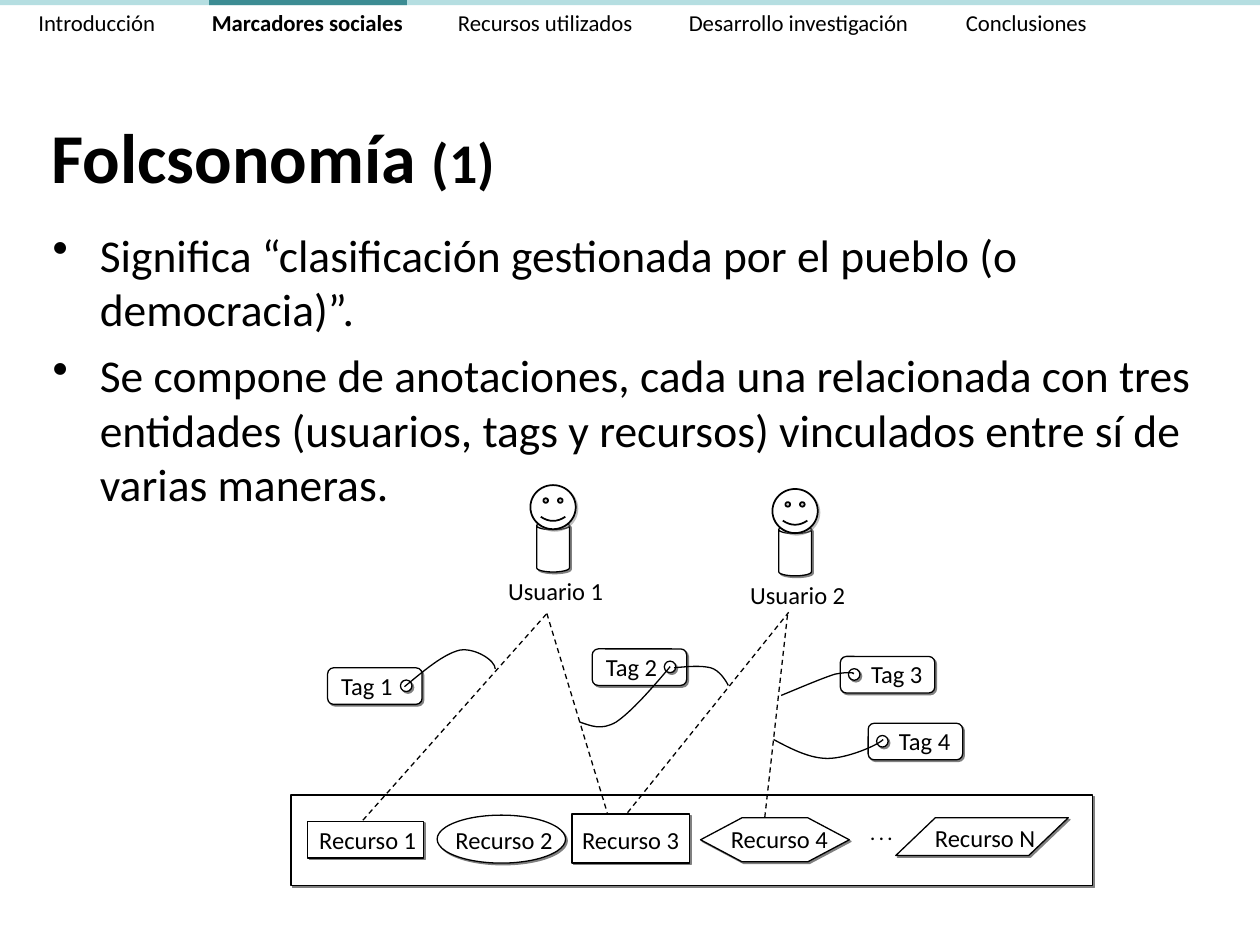
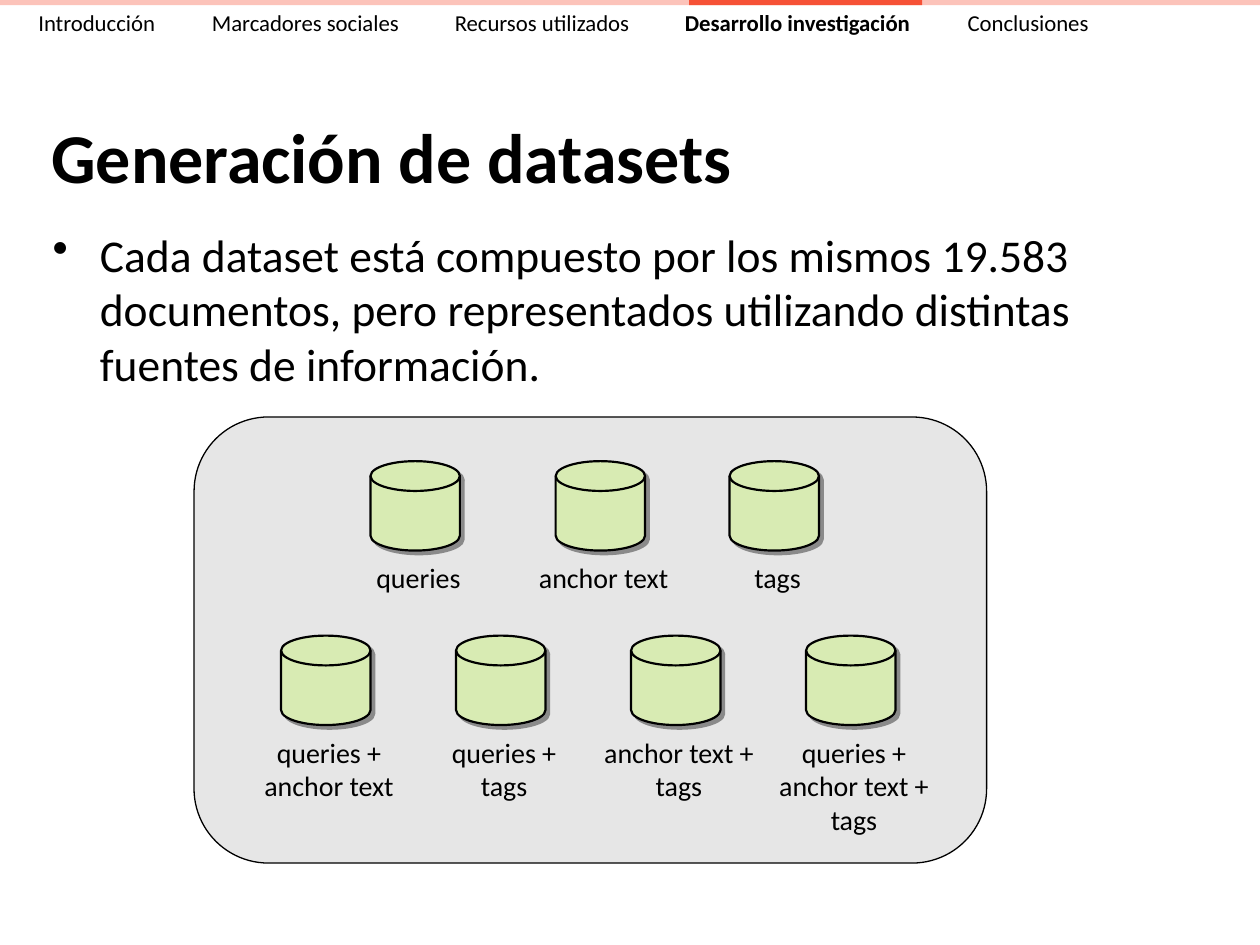
"""Build two slides on folksonomies and dataset generation."""
from dataclasses import dataclass

from lxml import etree
from pptx import Presentation
from pptx import util as u
from pptx.dml import color
from pptx.enum import dml, shapes, text
from pptx.oxml import ns

Pt = u.Pt
qn = ns.qn
Kind = shapes.MSO_SHAPE
CENTER = text.PP_ALIGN.CENTER


@dataclass(frozen=True)
class Theme:
    font: str = "Calibri"
    ink: str = "000000"
    paper: str = "FFFFFF"
    panel: str = "E6E6E6"
    disk: str = "D8EBB3"
    teal_band: str = "B5DEE1"
    teal_mark: str = "3C8C93"
    coral_band: str = "FCC3BA"
    coral_mark: str = "F65136"
    title: int = 40
    title_part: int = 32
    body: int = 26
    dataset: int = 16
    label: int = 14
    menu: int = 13
    dots: int = 10
    hairline: float = 0.75
    face_line: float = 1
    disk_line: float = 1.25
    diagram_shadow: tuple = ("808080", 100, 1.4)
    face_shadow: tuple = ("7F7F7F", 50, 1.4)
    disk_shadow: tuple = ("000000", 40, 3)


theme = Theme()
INK = color.RGBColor.from_string(theme.ink)


def add_text(slide, box, paragraphs, alignment=None, anchor=text.MSO_ANCHOR.TOP):
    """Add a text box; each paragraph is a list of (words, size, bold) runs."""
    frame = slide.shapes.add_textbox(*map(Pt, box)).text_frame
    frame.word_wrap = True
    frame.vertical_anchor = anchor
    for number, runs in enumerate(paragraphs):
        paragraph = frame.add_paragraph() if number else frame.paragraphs[0]
        paragraph.alignment = alignment
        for words, size, bold in runs:
            for row, line in enumerate(words.split("\n")):
                if row:
                    paragraph.add_line_break()
                run = paragraph.add_run()
                run.text = line
                run.font.name = theme.font
                run.font.size = Pt(size)
                run.font.bold = bold
                run.font.color.rgb = INK
    return frame


def add_figure(slide, kind, box, fill=theme.paper, line=theme.hairline, shadow=theme.diagram_shadow):
    """Add a preset shape with an optional outline and hard shadow."""
    shape = slide.shapes.add_shape(kind, *map(Pt, box))
    shape.fill.solid()
    shape.fill.fore_color.rgb = color.RGBColor.from_string(fill)
    if line:
        shape.line.color.rgb = INK
        shape.line.width = Pt(line)
    else:
        shape.line.fill.background()
    shape.shadow.inherit = False
    if shadow:
        tint, opacity, distance = shadow
        effects = shape._element.spPr.find(qn("a:effectLst"))
        outer = etree.SubElement(effects, qn("a:outerShdw"), blurRad="0", dist=str(Pt(distance)),
                                 dir="2700000", algn="ctr", rotWithShape="0")
        tone = etree.SubElement(outer, qn("a:srgbClr"), val=tint)
        etree.SubElement(tone, qn("a:alpha"), val=str(opacity * 1000))
    return shape


presentation = Presentation()
presentation.slide_width = Pt(720)
presentation.slide_height = Pt(540)

sections = ["Introducción", "Marcadores sociales", "Recursos utilizados",
            "Desarrollo investigación", "Conclusiones"]
pages = [
    dict(title=[("Folcsonomía ", theme.title, True), ("(1)", theme.title_part, True)],
         bullets=["Significa “clasificación gestionada por el pueblo (o democracia)”.",
                  "Se compone de anotaciones, cada una relacionada con tres entidades "
                  "(usuarios, tags y recursos) vinculados entre sí de varias maneras."],
         current=1, band=theme.teal_band, mark=theme.teal_mark, mark_span=(119.5, 113),
         tabs=[99.2, 239.8, 371.7, 530]),
    dict(title=[("Generación de datasets", theme.title, True)],
         bullets=["Cada dataset está compuesto por los mismos 19.583 documentos, pero "
                  "representados utilizando distintas fuentes de información."],
         current=3, band=theme.coral_band, mark=theme.coral_mark, mark_span=(393.8, 133.2),
         tabs=[99.2, 238, 369.5, 531]),
]

slides = []
for page in pages:
    slide = presentation.slides.add_slide(presentation.slide_layouts[6])
    slides.append(slide)
    add_text(slide, (22.3, 62, 692, 53.3), [page["title"]], anchor=text.MSO_ANCHOR.MIDDLE)
    body = add_text(slide, (23, 126, 674.6, 408.2),
                    [[(words, theme.body, False)] for words in page["bullets"]])
    for number, paragraph in enumerate(body.paragraphs):
        properties = paragraph._p.get_or_add_pPr()
        properties.set("marL", str(Pt(27)))
        properties.set("indent", str(-Pt(27)))
        etree.SubElement(properties, qn("a:buChar"), char="•")
        if number:
            paragraph.space_before = Pt(6.5)

    left, width = page["mark_span"]
    add_figure(slide, Kind.RECTANGLE, (0, 0, 720, 3), page["band"], 0, None)
    menu_runs = [(("\t" if number else "") + name, theme.menu, number == page["current"])
                 for number, name in enumerate(sections)]
    menu = add_text(slide, (14.8, 1.4, 696, 23), [menu_runs])
    tab_list = etree.SubElement(menu.paragraphs[0]._p.get_or_add_pPr(), qn("a:tabLst"))
    for position in page["tabs"]:
        etree.SubElement(tab_list, qn("a:tab"), pos=str(Pt(position)), algn="l")
    add_figure(slide, Kind.RECTANGLE, (left, 0, width, 3), page["mark"], 0, None)

folksonomy, datasets = slides

add_figure(folksonomy, Kind.RECTANGLE, (166.3, 454.3, 458, 51.8))
resources = [
    ("Recurso N", Kind.PARALLELOGRAM, (511.9, 467.3, 98.6, 21.6), 1.046, (523.4, 466.6, 79.2)),
    ("Recurso 1", Kind.RECTANGLE, (175.7, 469.4, 66.2, 20.9), None, (174.2, 468, 72)),
    ("Recurso 3", Kind.RECTANGLE, (326.9, 465.1, 67, 28.1), None, (324, 468, 72.7)),
    ("Recurso 4", Kind.HEXAGON, (400.3, 467.3, 85, 25.2), 0.941, (405.4, 467.3, 79.9)),
    ("Recurso 2", Kind.OVAL, (249.8, 465.8, 73.4, 27.4), None, (249.1, 468, 77.8)),
]
for name, kind, box, adjustment, label_box in resources:
    resource = add_figure(folksonomy, kind, box)
    if adjustment:
        resource.adjustments[0] = adjustment
    add_text(folksonomy, (*label_box, 25.2), [[(name, theme.label, False)]], CENTER)
add_text(folksonomy, (490.3, 466.6, 29.5, 28.8), [[(". . .", theme.dots, True)]])

annotations = [(207.4, 468.7, 312.5, 350.6), (312.5, 350.6, 347, 464.4),
               (358.6, 464.4, 450.7, 349.9), (450, 351.4, 437, 467.3)]
for ends in annotations:
    connector = folksonomy.shapes.add_connector(shapes.MSO_CONNECTOR.STRAIGHT, *map(Pt, ends))
    connector.line.color.rgb = INK
    connector.line.width = Pt(theme.hairline)
    connector.line.dash_style = dml.MSO_LINE.DASH
    etree.SubElement(connector._element.spPr, qn("a:effectLst"))

tags = [("Tag 1", 187.2, 381.6, 41.6, 0.7), ("Tag 2", 338.4, 370.8, 41.2, 0.7),
        ("Tag 4", 496.1, 413.3, 4.8, 10.5), ("Tag 3", 480.2, 375.1, 4.6, 10.5)]
for name, left, top, hole_shift, label_shift in tags:
    add_figure(folksonomy, Kind.ROUNDED_RECTANGLE, (left, top, 54, 20.9))
    add_figure(folksonomy, Kind.OVAL, (left + hole_shift, top + 7, 6.6, 6.6))
    add_text(folksonomy, (left + label_shift, top - 1.8, 46.1, 23),
             [[(name, theme.label, False)]])

strings = [
    [(231.1, 392.4), (242.6, 383), (253.4, 373.7), (262.8, 371.5),
     (271.4, 370.1), (283, 377.3), (283, 382.3)],
    [(383, 380.9), (372.2, 393.8), (360.7, 406.8), (352.1, 412.6),
     (343.4, 417.6), (337.7, 414.7), (331.2, 412.6)],
    [(385.2, 381.6), (393.1, 380.9), (400.3, 380.2), (406.1, 381.6),
     (411.1, 383), (414.7, 388.8), (416.2, 391.7)],
    [(446.4, 397.4), (458.6, 392.4), (470.2, 387.4), (477.4, 385.2),
     (484.6, 383.8), (489.6, 384.5), (487.4, 385.2)],
    [(442.1, 422.6), (452.9, 428.4), (463, 433.4), (473, 433.4),
     (483.8, 433.4), (501.1, 426.2), (504.7, 422.6)],
]
for points in strings:
    start, *controls = [(Pt(x), Pt(y)) for x, y in points]
    builder = folksonomy.shapes.build_freeform(*start)
    builder.add_line_segments(controls, close=False)
    string = builder.convert_to_shape()
    string.fill.background()
    string.line.color.rgb = INK
    string.line.width = Pt(theme.hairline)
    string.shadow.inherit = False
    outline = next(string._element.iter(qn("a:path")))
    segments = outline.findall(qn("a:lnTo"))
    for first in range(0, len(segments), 3):
        curve = etree.SubElement(outline, qn("a:cubicBezTo"))
        for segment in segments[first:first + 3]:
            curve.append(segment[0])
            outline.remove(segment)

for name, left, top in [("Usuario 1", 303.1, 277.2), ("Usuario 2", 441.4, 279.4)]:
    add_figure(folksonomy, Kind.CAN, (left + 3.6, top + 20.9, 18.7, 28.8))
    add_figure(folksonomy, Kind.SMILEY_FACE, (left, top, 25.9, 25.2),
               line=theme.face_line, shadow=theme.face_shadow)
    add_text(folksonomy, (left - 24.5, top + 48.6, 78, 23.8),
             [[(name, theme.label, False)]], CENTER)

add_figure(datasets, Kind.ROUNDED_RECTANGLE, (110.9, 238.3, 452.9, 254.9), theme.panel, shadow=None)
sources = [("queries", 211.7, 263.5), ("anchor text", 317.5, 263.5), ("tags", 416.9, 263.5)]
combinations = ["queries +\nanchor text", "queries +\ntags", "anchor text +\ntags",
                "queries +\nanchor text +\ntags"]
sources += [(name, 160.6 + 100 * column, 363.2) for column, name in enumerate(combinations)]
for name, left, top in sources:
    add_figure(datasets, Kind.FLOWCHART_MAGNETIC_DISK, (left, top, 51.1, 51.1),
               theme.disk, theme.disk_line, theme.disk_shadow)
    height = 7.2 + 19.4 * (name.count("\n") + 1)
    add_text(datasets, (left - 40.3, top + 53.5, 135.4, height),
             [[(name, theme.dataset, False)]], CENTER)

presentation.save("out.pptx")
